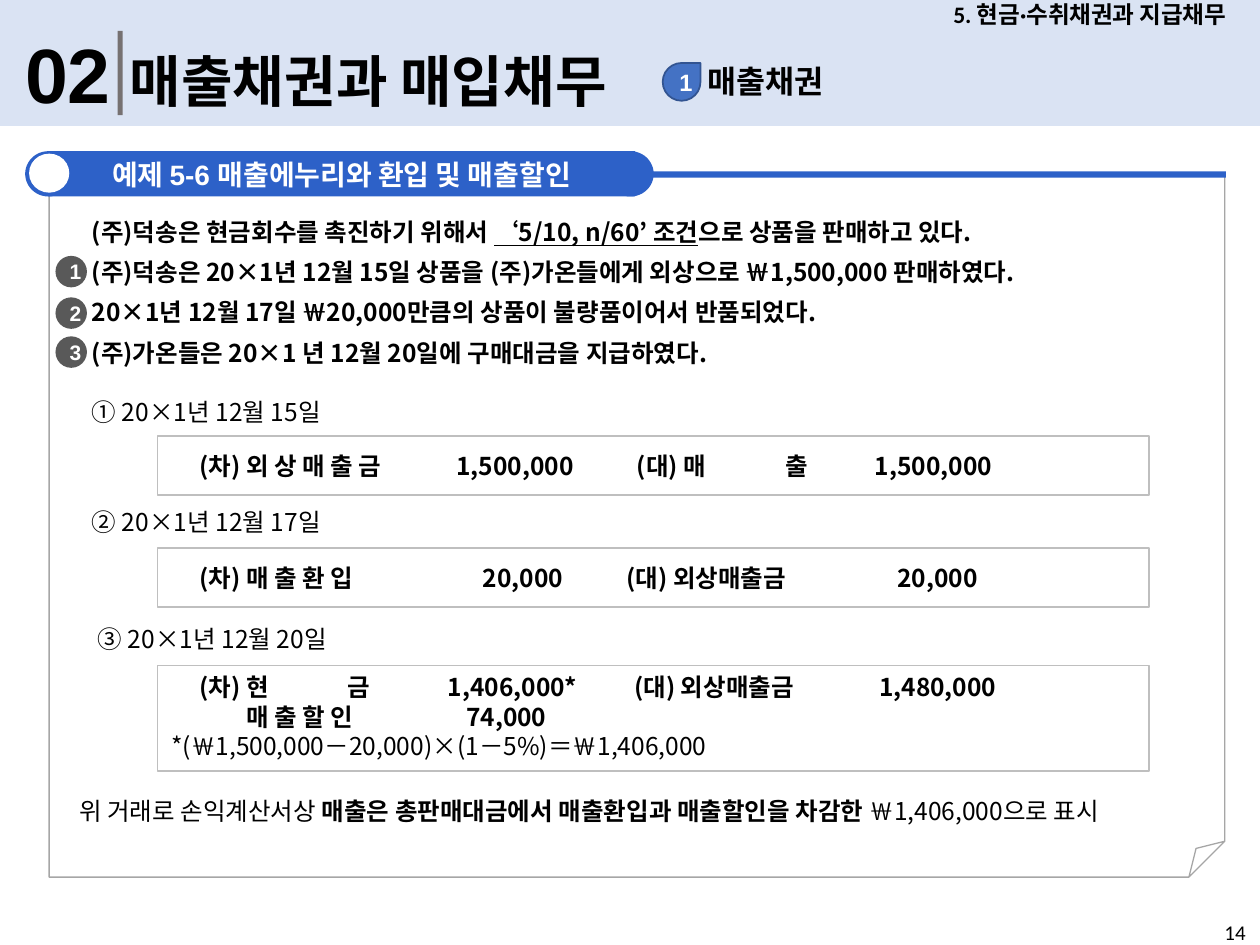
from pptx import Presentation
from pptx.dml.color import RGBColor
from pptx.enum.shapes import MSO_SHAPE
from pptx.enum.text import MSO_ANCHOR, PP_ALIGN
from pptx.util import Pt
from lxml import etree

RECT, OVAL = MSO_SHAPE.RECTANGLE, MSO_SHAPE.OVAL
DROP, FOLD = MSO_SHAPE.TEAR, MSO_SHAPE.FOLDED_CORNER
TOP, MID = MSO_ANCHOR.TOP, MSO_ANCHOR.MIDDLE
LEFT, MIDDLE = PP_ALIGN.LEFT, PP_ALIGN.CENTER

BLACK = RGBColor(0, 0, 0)
WHITE = RGBColor(255, 255, 255)
PALE = RGBColor(0xDA, 0xE3, 0xF3)
BLUE = RGBColor(0x2D, 0x61, 0xC8)
DROP_FILL = RGBColor(0x44, 0x72, 0xC4)
DROP_LINE = RGBColor(0x32, 0x54, 0x91)
STONE = RGBColor(0x76, 0x71, 0x71)
DARK = RGBColor(0x59, 0x59, 0x59)
FOLD_LINE = RGBColor(0xA6, 0xA6, 0xA6)
BOX_LINE = RGBColor(0xBF, 0xBF, 0xBF)
SANS, KOREAN, ARIAL = "Calibri", "Noto Sans CJK KR", "Arial"

# text, left, top, width, height, size, font, bold
HEADS = [
    ("02", 7.2, 11.5, 65.5, 60.5, 44, ARIAL, True),
    ("매출채권과 매입채무", 67, 23, 327.6, 46, 32, SANS, True),
    ("매출채권", 397.4, 31.7, 245.5, 28.8, 18, SANS, True),
    ("14", 692.6, 522, 162, 28.8, 12, SANS, False),
]
BANNER = [("예제 ", SANS), ("5-6 ", ARIAL), ("매출에누리와 환입 및 매출할인", KOREAN)]

# each paragraph is a list of (text, bold, underlined)
STORY = [
    [("(주)덕송은 현금회수를 촉진하기 위해서 ", True, False),
     ("‘5/10, n/60’ 조건", True, True),
     ("으로 상품을 판매하고 있다.", True, False)],
    [("(주)덕송은 20×1년 12월 15일 상품을 (주)가온들에게 외상으로 ￦1,500,000 판매하였다.", True, False)],
    [("20×1년 12월 17일 ￦20,000만큼의 상품이 불량품이어서 반품되었다.", True, False)],
    [("(주)가온들은 20×1 년 12월 20일에 구매대금을 지급하였다.", True, False)],
    [("① 20×1년 12월 15일", False, False)],
]
DATES = [("② 20×1년 12월 17일", 44.6, 285.8), ("③ 20×1년 12월 20일", 48, 352.8)]
CLOSING = [
    ("위 거래로 손익계산서상 ", False, False),
    ("매출은 총판매대금에서 매출환입과 매출할인을 차감한 ", True, False),
    ("￦1,406,000으로 표시", False, False),
]
# top, height, anchor, rows of (text, bold, tab stops)
ENTRIES = [
    (249.1, 33.8, MID, [
        ("\t(차) 외 상 매 출 금\t1,500,000\t(대) 매\t출\t1,500,000", True,
         [16, 163, 266, 351, 402])]),
    (313.2, 33.8, MID, [
        ("\t(차) 매 출 환 입\t20,000\t(대) 외상매출금\t20,000", True,
         [16, 178, 260, 415])]),
    (380.2, 60.5, TOP, [
        ("\t(차) 현\t금\t1,406,000*\t(대) 외상매출금\t1,480,000", True,
         [16, 100.5, 158, 264.5, 404.5]),
        ("\t매 출 할 인\t74,000", True, [43, 168.5]),
        ("*(￦1,500,000－20,000)×(1－5%)＝￦1,406,000", False, [])]),
]
BADGES = [("1", 146.2), ("2", 169.9), ("3", 192.2)]

prs = Presentation()
prs.slide_width, prs.slide_height = Pt(720), Pt(540)
shapes = prs.slides.add_slide(prs.slide_layouts[6]).shapes


def style(run, size, font=KOREAN, bold=True, color=BLACK, under=False):
    run.font.size, run.font.name = Pt(size), font
    run.font.bold, run.font.color.rgb = bold, color
    if under:
        run.font.underline = True
    latin = run.font._element.find("{*}latin")
    east = etree.Element(latin.tag.replace("latin", "ea"), typeface=font)
    latin.addnext(east)


def setup(frame, anchor=TOP, side=7.92):
    frame.word_wrap = True
    frame.vertical_anchor = anchor
    frame.margin_left = frame.margin_right = Pt(side)
    frame.margin_top = frame.margin_bottom = Pt(3.6)
    return frame


def shape(kind, left, top, width, height, fill=None, line=None, weight=0.75):
    item = shapes.add_shape(kind, Pt(left), Pt(top), Pt(width), Pt(height))
    item.shadow.inherit = False
    if fill is None:
        item.fill.background()
    else:
        item.fill.solid()
        item.fill.fore_color.rgb = fill
    if line is None:
        item.line.fill.background()
    else:
        item.line.color.rgb = line
        item.line.width = Pt(weight)
    return item


def textbox(left, top, width, height, anchor=TOP, side=7.92):
    box = shapes.add_textbox(Pt(left), Pt(top), Pt(width), Pt(height))
    return setup(box.text_frame, anchor, side)


def next_para(frame, index):
    para = frame.add_paragraph() if index else frame.paragraphs[0]
    para.alignment = LEFT
    para.line_spacing = Pt(17)
    return para


def add_runs(para, parts):
    for text, bold, under in parts:
        run = para.add_run()
        run.text = text
        style(run, 14, bold=bold, under=under)


def set_tabs(para, stops):
    props = para._p.get_or_add_pPr()
    space = props.tag.replace("pPr", "")
    tabs = etree.SubElement(props, space + "tabLst")
    for stop in stops:
        etree.SubElement(tabs, space + "tab", pos=str(Pt(stop)), algn="l")


def number(item, text, size):
    """Write a digit into a round badge, a little right of its middle."""
    frame = setup(item.text_frame, MID, 0)
    frame.margin_left = Pt(5)
    frame.margin_top = frame.margin_bottom = 0
    frame.word_wrap = False
    frame.text = text
    frame.paragraphs[0].alignment = MIDDLE
    style(frame.paragraphs[0].runs[0], size, ARIAL, color=WHITE)


# Title band
shape(RECT, 0, 0, 720, 72, PALE)
frame = textbox(525.6, 0, 194.4, 16.6, MID, 7.2)
frame.text = "5. 현금·수취채권과 지급채무"
frame.paragraphs[0].alignment = MIDDLE
style(frame.paragraphs[0].runs[0], 13.5, SANS)
shape(RECT, 67.3, 17.6, 2.9, 48.2, STONE)
for text, left, top, width, height, size, font, bold in HEADS:
    frame = textbox(left, top, width, height, side=7.2)
    frame.text = text
    style(frame.paragraphs[0].runs[0], size, font, bold)
number(shape(DROP, 378.7, 36, 21.6, 21.6, DROP_FILL, DROP_LINE, 1), "1", 13.5)

# Example panel and its banner
panel = shape(FOLD, 28.1, 99.4, 671.8, 401.8, line=FOLD_LINE)
guides = panel._element.find(".//{*}avLst")
for old in list(guides):
    guides.remove(old)
etree.SubElement(guides, guides.tag.replace("avLst", "gd"), name="adj", fmla="val 5100")
shape(RECT, 28.8, 97.9, 671.8, 3.6, BLUE)
for left in (14.4, 347):
    shape(OVAL, left, 86.4, 26.6, 25.9, BLUE)
banner = shape(RECT, 27.4, 86.4, 335.5, 25.9, BLUE)
para = setup(banner.text_frame, MID).paragraphs[0]
para.alignment = MIDDLE
for text, font in BANNER:
    run = para.add_run()
    run.text = text
    style(run, 16, font, color=WHITE)
shape(OVAL, 16.6, 87.8, 23, 22.3, WHITE)

# Story, dates and closing line
frame = textbox(44.6, 120.2, 648, 79.2)
for index, parts in enumerate(STORY):
    para = next_para(frame, index)
    if index:
        para.space_before = Pt(17 if index == len(STORY) - 1 else 6)
    add_runs(para, parts)
for text, left, top in DATES:
    add_runs(next_para(textbox(left, top, 612, 28), 0), [(text, False, False)])
add_runs(next_para(textbox(37.4, 451.4, 671.8, 33), 0), CLOSING)
for text, top in BADGES:
    number(shape(OVAL, 31.7, top, 18, 18, DARK), text, 12)

# Journal entries
for top, height, anchor, rows in ENTRIES:
    box = shape(RECT, 90, top, 566.6, height, WHITE, BOX_LINE)
    frame = setup(box.text_frame, anchor)
    for index, (text, bold, stops) in enumerate(rows):
        para = next_para(frame, index)
        if stops:
            set_tabs(para, stops)
        add_runs(para, [(text, bold, False)])

prs.save("out.pptx")
